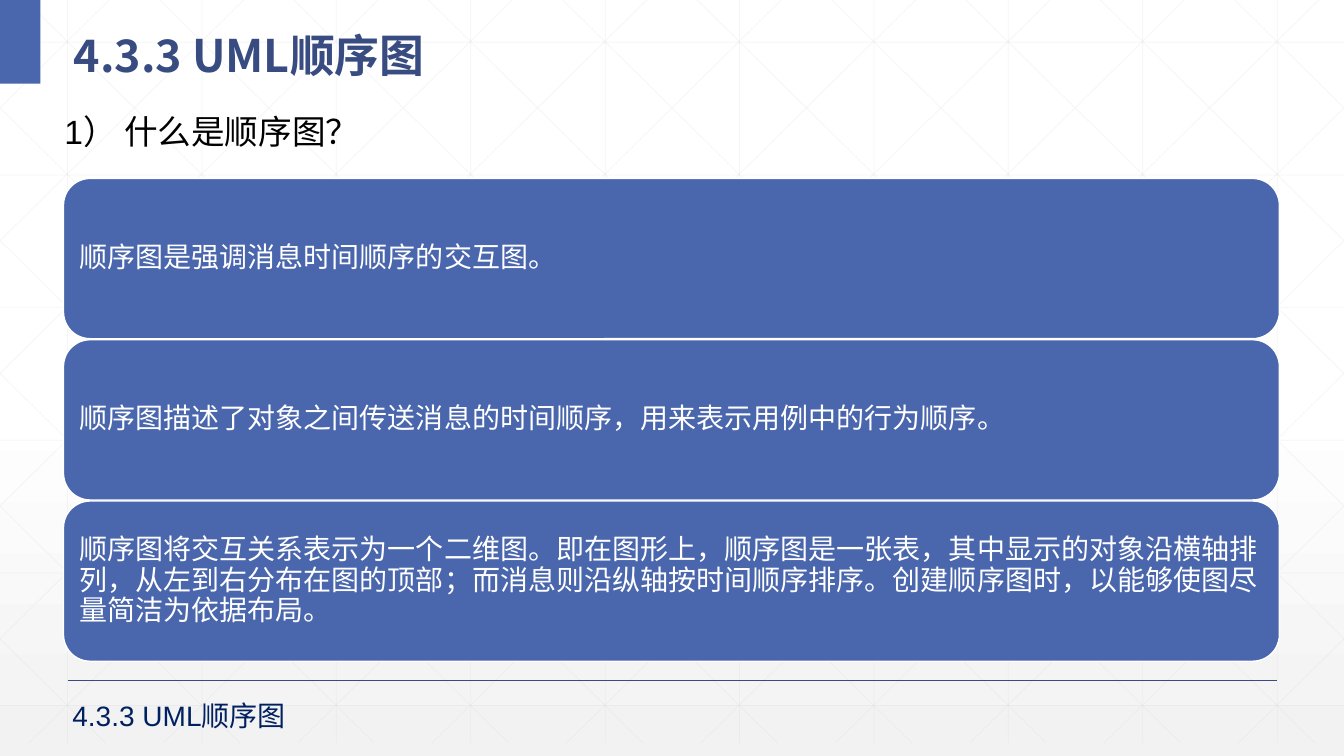
from copy import deepcopy
from dataclasses import dataclass

from lxml.etree import SubElement
from pptx import Presentation
from pptx.dml.color import RGBColor
from pptx.enum.shapes import MSO_CONNECTOR as Connector, MSO_SHAPE as Shape
from pptx.enum.text import MSO_ANCHOR as Anchor, MSO_AUTO_SIZE as AutoSize, PP_ALIGN as Align
from pptx.oxml.ns import qn
from pptx.util import Inches, Pt


@dataclass(frozen=True)
class Theme:
    """Colours, fonts and type sizes of the slide."""
    white: str = "FFFFFF"
    black: str = "000000"
    mist: str = "F2F2F2"
    lattice: str = "D9D9D9"
    blue: str = "4A66AC"
    dark_blue: str = "384C81"
    navy: str = "002060"
    latin: str = "Arial"
    chinese: str = "Noto Sans CJK SC"
    title_size: int = 32
    question_size: int = 24
    body_size: int = 20


THEME = Theme()
WIDTH, HEIGHT = 13.33, 7.5
TITLE = "4.3.3 UML顺序图"
QUESTION = "1） 什么是顺序图？"
STATEMENTS = (
    "顺序图是强调消息时间顺序的交互图。",
    "顺序图描述了对象之间传送消息的时间顺序，用来表示用例中的行为顺序。",
    "顺序图将交互关系表示为一个二维图。即在图形上，顺序图是一张表，其中显示的对象沿横轴排列，"
    "从左到右分布在图的顶部；而消息则沿纵轴按时间顺序排序。创建顺序图时，以能够使图尽量简洁为依据布局。",
)


def rgb(code):
    """Return the colour for a hex code."""
    return RGBColor.from_string(code)


def write(frame, text, *, size, color, font=THEME.latin, bold=False, spacing=1.0,
          anchor=Anchor.TOP, wrap=True, margin=None, fit=AutoSize.NONE):
    """Fill a text frame with one formatted left-aligned paragraph."""
    frame.word_wrap = wrap
    frame.auto_size = fit
    frame.vertical_anchor = anchor
    if margin is not None:
        frame.margin_left = frame.margin_right = Inches(margin)
        frame.margin_top = frame.margin_bottom = Inches(margin)
    paragraph = frame.paragraphs[0]
    paragraph.alignment = Align.LEFT
    paragraph.line_spacing = spacing
    run = paragraph.add_run()
    run.text = text
    run.font.size = Pt(size)
    run.font.bold = bold
    run.font.name = font
    run.font.color.rgb = rgb(color)
    SubElement(run.font._element, qn("a:ea"), typeface=THEME.chinese)


def add_line(slide, start, end, *, color, width, opacity=None):
    """Draw a straight line between two points given in inches."""
    line = slide.shapes.add_connector(Connector.STRAIGHT, *map(Inches, start + end))
    line.line.color.rgb = rgb(color)
    line.line.width = Pt(width)
    properties = line.element.spPr
    if opacity is not None:
        SubElement(properties.find(".//" + qn("a:srgbClr")), qn("a:alpha"), val=str(opacity * 1000))
    SubElement(properties, qn("a:effectLst"))


def add_block(slide, kind, left, top, width, height, outline=None):
    """Add a blue shape with an optional outline colour."""
    block = slide.shapes.add_shape(kind, *map(Inches, (left, top, width, height)))
    block.shadow.inherit = False
    block.fill.solid()
    block.fill.fore_color.rgb = rgb(THEME.blue)
    if outline:
        block.line.color.rgb = rgb(outline)
        block.line.width = Pt(1)
    else:
        block.line.fill.background()
    return block


def add_label(slide, text, left, top, width, height, **text_format):
    """Add a text box that grows with its text."""
    label = slide.shapes.add_textbox(*map(Inches, (left, top, width, height)))
    write(label.text_frame, text, fit=AutoSize.SHAPE_TO_FIT_TEXT, **text_format)


def paint_background(slide):
    """Fade the background from white to light grey at the bottom."""
    fill = slide.background.fill
    fill.gradient()
    fill.gradient_angle = 270
    for stop, color, position in zip(fill.gradient_stops, (THEME.white, THEME.mist), (0, 1)):
        stop.color.rgb = rgb(color)
        stop.position = position
    stops = slide.element.find(".//" + qn("a:gsLst"))
    middle = deepcopy(stops[0])
    middle.set("pos", "53000")
    stops.insert(1, middle)


def add_lattice(slide):
    """Draw the faint grid with both families of diagonals clipped to the slide."""
    bottom, reach = 7.37, 7.46
    column, row = WIDTH / 10, 1.316
    slope = bottom / reach
    segments = []
    for index in range(10):
        x = 0.67 + index * column
        segments.append(((x, 0), (x, bottom)))
    for index in range(6):
        y = 0.42 + index * row
        segments.append(((0, y), (WIDTH, y)))
    for index in range(-5, 10):
        origin = 0.25 + index * column
        left, right = max(origin, 0), min(origin + reach, WIDTH)
        upper, lower = (left - origin) * slope, (right - origin) * slope
        segments.append(((left, upper), (right, lower)))
        segments.append(((WIDTH - left, upper), (WIDTH - right, lower)))
    for start, end in segments:
        add_line(slide, start, end, color=THEME.lattice, width=0.5, opacity=25)


def place_title(slide):
    """Move the title placeholder to the front and format it."""
    title = slide.shapes.title
    title.left, title.top = Inches(0.63), Inches(0.1)
    title.width, title.height = Inches(12.42), Inches(0.73)
    slide.shapes.element.append(title.element)
    write(title.text_frame, TITLE, size=THEME.title_size, color=THEME.dark_blue,
          font=THEME.chinese, bold=True, spacing=1.3, anchor=Anchor.MIDDLE)


def add_statements(slide):
    """Stack one rounded card for each statement."""
    for index, statement in enumerate(STATEMENTS):
        card = add_block(slide, Shape.ROUNDED_RECTANGLE, 0.63, 1.77 + index * 1.6, 12.06, 1.59,
                         outline=THEME.white)
        write(card.text_frame, statement, size=THEME.body_size, color=THEME.white,
              spacing=0.9, anchor=Anchor.MIDDLE, margin=0.08)


def main():
    """Build and save the slide."""
    deck = Presentation()
    deck.slide_width, deck.slide_height = Inches(WIDTH), Inches(HEIGHT)
    slide = deck.slides.add_slide(deck.slide_layouts.get_by_name("Title Only"))
    paint_background(slide)
    add_lattice(slide)
    add_line(slide, (0.67, 6.75), (12.67, 6.75), color=THEME.dark_blue, width=1)
    add_block(slide, Shape.RECTANGLE, 0, 0, 0.4, 0.83)
    place_title(slide)
    add_statements(slide)
    add_label(slide, QUESTION, 0.54, 1.05, 3.27, 0.5, wrap=False,
              size=THEME.question_size, color=THEME.black)
    add_label(slide, TITLE, 0.62, 6.88, 6.04, 0.44, size=THEME.body_size, color=THEME.navy)
    deck.save("out.pptx")


if __name__ == "__main__":
    main()
